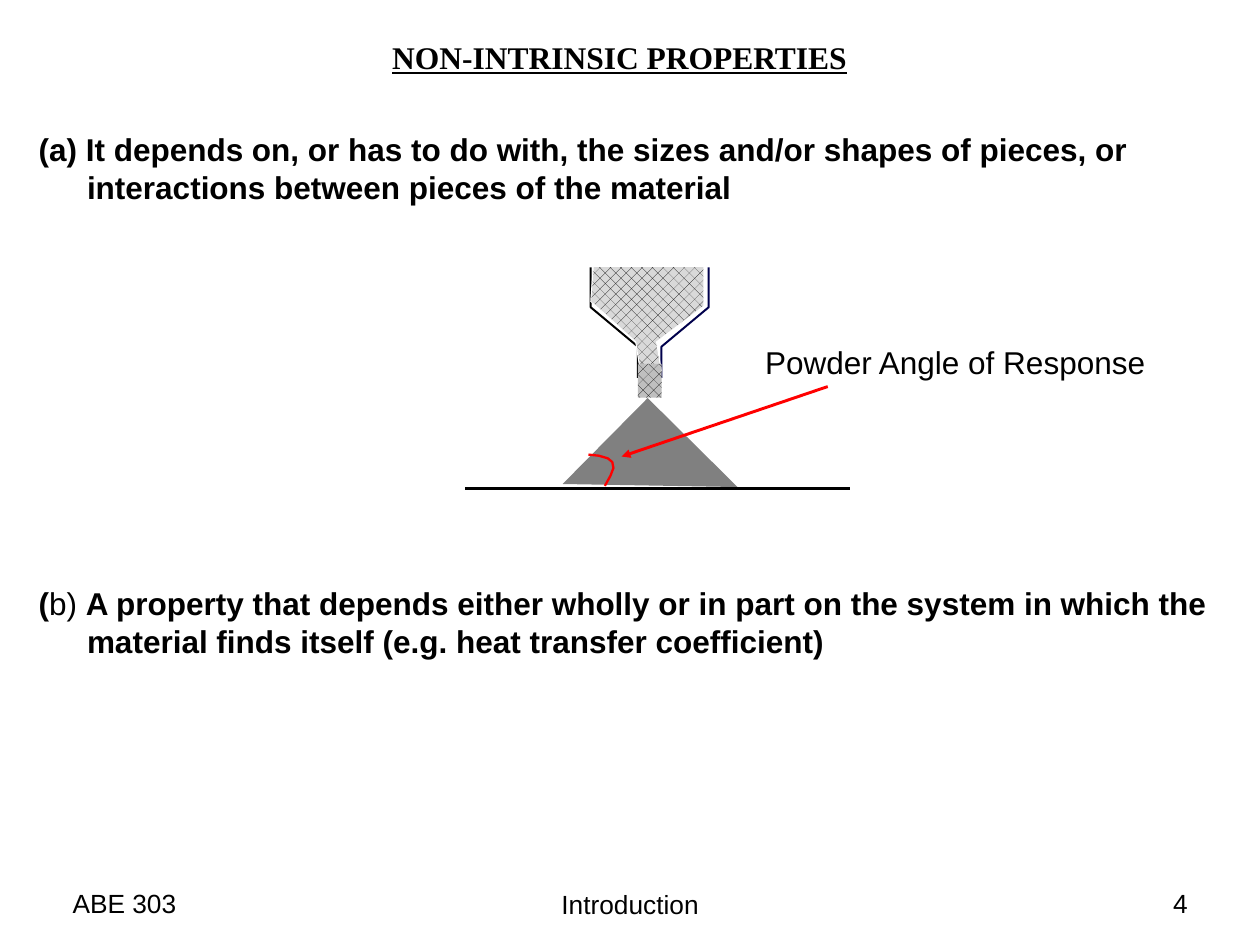
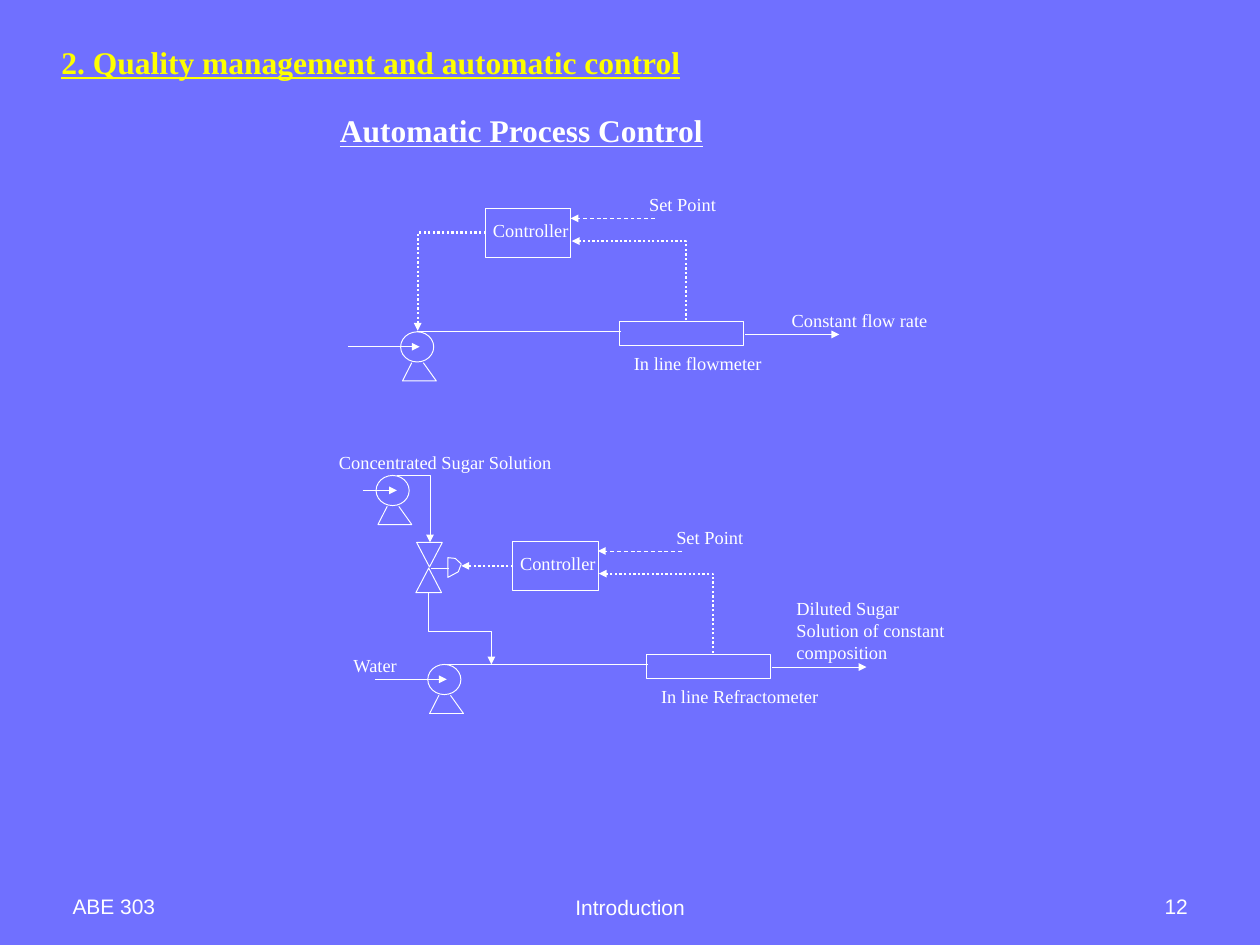
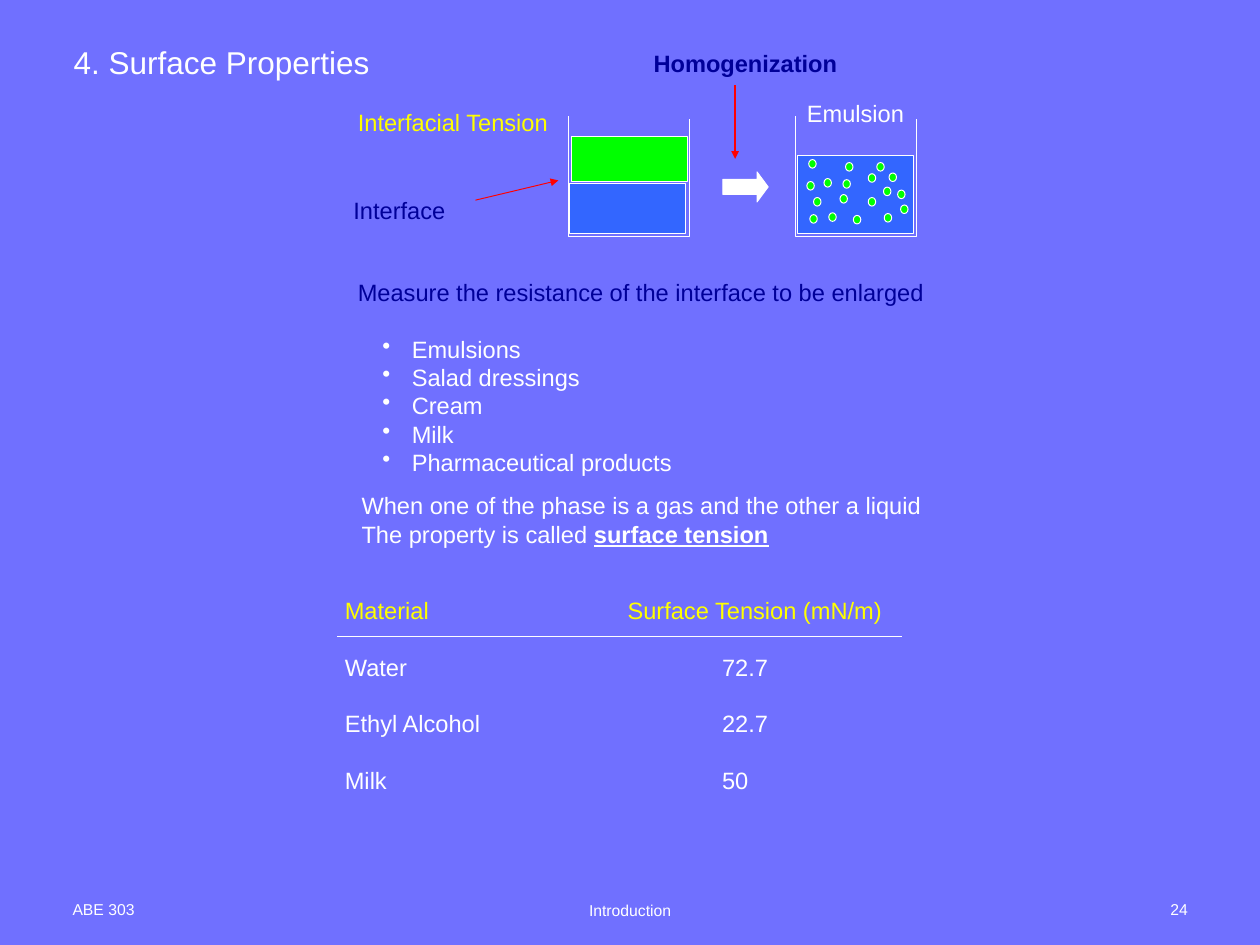
"""Build three lecture slides on food properties and process control."""
from lxml import etree
from pptx import Presentation
from pptx.dml.color import RGBColor
from pptx.enum.dml import MSO_LINE, MSO_PATTERN
from pptx.enum.shapes import MSO_CONNECTOR, MSO_SHAPE
from pptx.enum.text import MSO_ANCHOR, MSO_AUTO_SIZE, PP_ALIGN
from pptx.oxml.ns import qn
from pptx.util import Cm, Pt

LEFT, CENTER, RIGHT = PP_ALIGN.LEFT, PP_ALIGN.CENTER, PP_ALIGN.RIGHT
TOP, BOTTOM = MSO_ANCHOR.TOP, MSO_ANCHOR.BOTTOM
GROW, FIXED = MSO_AUTO_SIZE.SHAPE_TO_FIT_TEXT, MSO_AUTO_SIZE.NONE
DASH, DOT = MSO_LINE.DASH, MSO_LINE.ROUND_DOT
SPECKLED = MSO_PATTERN.PERCENT_25
STRAIGHT = MSO_CONNECTOR.STRAIGHT
RECTANGLE, OVAL = MSO_SHAPE.RECTANGLE, MSO_SHAPE.OVAL
TRIANGLE, RIGHT_TRIANGLE = MSO_SHAPE.ISOSCELES_TRIANGLE, MSO_SHAPE.RIGHT_TRIANGLE
BLOCK_ARROW = MSO_SHAPE.RIGHT_ARROW

BLACK, WHITE, LAVENDER = "000000", "FFFFFF", "7070FF"
YELLOW, RED, NAVY = "FFFF00", "FF0000", "000099"
GREEN, BLUE, GRAY = "00FF00", "3366FF", "808080"
SANS, SERIF = "Arial", "Times New Roman"
NO_GRID = "{2D5ABB26-0587-4C30-8999-92F81FD0307C}"
color_of = RGBColor.from_string


def add_text(page, area, text, size=18, color=WHITE, font=SANS, bold=False,
             underline=False, align=LEFT, anchor=TOP, wrap=False, grow=True):
    """Add a box; newlines split paragraphs and bars switch bold on or off."""
    box = page.shapes.add_textbox(*[Cm(length) for length in area])
    frame = box.text_frame
    frame.word_wrap = wrap
    frame.auto_size = GROW if grow else FIXED
    frame.vertical_anchor = anchor
    lines = text.split("\n")
    for number, line in enumerate(lines):
        para = frame.add_paragraph() if number else frame.paragraphs[0]
        para.alignment = align
        if len(lines) > 1:
            para.line_spacing = Pt(size * 1.2)
        for index, part in enumerate(line.split("|")):
            span = para.add_run()
            span.text = part
            span.font.name = font
            span.font.size = Pt(size)
            span.font.bold = bold != (index % 2 == 1)
            span.font.underline = underline
            span.font.color.rgb = color_of(color)
    return frame


def draw(page, points, preset=None, shift=(0, 0), closed=False, fill=None,
         back=None, line=WHITE, width=0.75, dash=None, arrow=False):
    """Draw a preset shape, a straight line or an outline, in centimetres."""
    if preset:
        left, top, wide, high = points
        shape = page.shapes.add_shape(
            preset, Cm(left + shift[0]), Cm(top + shift[1]), Cm(wide), Cm(high))
    else:
        spots = [(Cm(x + shift[0]), Cm(y + shift[1])) for x, y in points]
        if len(spots) == 2:
            shape = page.shapes.add_connector(STRAIGHT, *spots[0], *spots[1])
        else:
            builder = page.shapes.build_freeform(*spots[0])
            builder.add_line_segments(spots[1:], close=closed)
            shape = builder.convert_to_shape()
    if line:
        shape.line.color.rgb = color_of(line)
        shape.line.width = Pt(width)
        if dash:
            shape.line.dash_style = dash
        if arrow:
            etree.SubElement(shape.line._get_or_add_ln(), qn("a:tailEnd"), type="triangle")
    else:
        shape.line.fill.background()
    if not preset and len(points) == 2:
        etree.SubElement(shape._element.spPr, qn("a:effectLst"))
        return shape
    shape.shadow.inherit = False
    if back:
        shape.fill.patterned()
        shape.fill.pattern = SPECKLED
        shape.fill.fore_color.rgb = color_of(fill)
        shape.fill.back_color.rgb = color_of(back)
    elif fill:
        shape.fill.solid()
        shape.fill.fore_color.rgb = color_of(fill)
    else:
        shape.fill.background()
    return shape


deck = Presentation()
deck.slide_width, deck.slide_height = Cm(33.87), Cm(25.4)
pages = []
for number, size, color, background in [
        ("4", 20, BLACK, WHITE), ("12", 16, WHITE, LAVENDER), ("24", 12, WHITE, LAVENDER)]:
    page = deck.slides.add_slide(deck.slide_layouts[6])
    page.background.fill.solid()
    page.background.fill.fore_color.rgb = color_of(background)
    for left, top, wide, text, align in [
            (1.7, 23.11, 7.9, "ABE 303", LEFT),
            (11.58, 23.14, 10.72, "Introduction", CENTER),
            (24.28, 23.11, 7.9, number, RIGHT)]:
        add_text(page, (left, top, wide, 1.7), text, size=size, color=color,
                 align=align, anchor=BOTTOM, wrap=True, grow=False)
    pages.append(page)
properties, control, surface = pages

add_text(properties, (10.29, 0.89, 12.88, 1.27), "NON-INTRINSIC PROPERTIES", size=24,
         color=BLACK, font=SERIF, bold=True, underline=True)
definitions = add_text(
    properties, (0.79, 3.38, 32.41, 14.63),
    "(a) It depends on, or has to do with, the sizes and/or shapes of pieces, "
    "or interactions between pieces of the material\n"
    "(|b) |A property that depends either wholly or in part on the system in which "
    "the material finds itself (e.g. heat transfer coefficient)",
    size=24, color=BLACK, bold=True, wrap=True)
for para in definitions.paragraphs:
    settings = para._p.get_or_add_pPr()
    settings.set("marL", str(Cm(1.3)))
    settings.set("indent", str(Cm(-1.3)))
definitions.paragraphs[1].space_before = Pt(288)

heap = draw(properties, (15.85, 11.35, 3.25, 3.4), RIGHT_TRIANGLE, fill=GRAY, line=None)
heap.rotation = 134.7
funnel_wall = [(15.88, 7.19), (15.88, 8.26), (17.15, 9.32), (17.15, 10.16)]
draw(properties, funnel_wall, line=BLACK, width=1.5)
draw(properties, [(34.93 - x, y) for x, y in funnel_wall], line="00004C", width=1.5)
angle_arc = [(15.82, 12.22), (16.1, 12.25), (16.34, 12.32), (16.46, 12.42),
             (16.49, 12.58), (16.41, 12.79), (16.26, 13.06)]
draw(properties, angle_arc, line=RED, width=1.75)
powder = [(15.95, 7.16), (18.92, 7.16), (18.92, 8.23), (17.65, 9.19),
          (17.78, 9.98), (17.22, 10.03), (17.09, 9.19), (15.88, 8.1)]
draw(properties, powder, closed=True, fill=BLACK, back="D9D9D9")
draw(properties, (17.15, 9.78, 0.64, 0.91), RECTANGLE, fill=BLACK, back="BFBFBF", line=None)
draw(properties, [(12.5, 13.13), (22.86, 13.13)], line=BLACK, width=2.5)
draw(properties, [(22.25, 10.39), (16.71, 12.27)], line=RED, width=2.25, arrow=True)
add_text(properties, (20.32, 9.09, 11.56, 1.27), "Powder Angle of Response",
         size=24, color=BLACK, wrap=True)

for left, top, wide, text, color in [
        (1.4, 1.04, 17.3, "2. Quality management and automatic control", YELLOW),
        (8.89, 2.87, 10.36, "Automatic Process Control", WHITE)]:
    add_text(control, (left, top, wide, 1.3), text, size=24, color=color,
             font=SERIF, bold=True, underline=True)

flow_loop, sugar_loop, sugar_pump = (0, 0), (0.73, 8.94), (-0.66, 3.86)
for shift in (flow_loop, sugar_loop, sugar_pump):
    draw(control, (10.77, 8.92, 0.89, 0.81), OVAL, shift)
    draw(control, [(11.07, 9.75), (10.82, 10.24), (11.73, 10.24), (11.38, 9.75)], shift=shift)

labels = [
    (21.03, 8.18, 4.19, "Constant flow rate"),
    (21.16, 15.93, 4.52, "Diluted Sugar\nSolution of constant\ncomposition"),
    (9.25, 17.45, 1.7, "Water"),
    (8.86, 11.99, 6.27, "Concentrated Sugar Solution")]
for shift, meter, meter_width in [
        (flow_loop, "In line flowmeter", 3.96), (sugar_loop, "In line Refractometer", 4.78)]:
    draw(control, (16.66, 8.64, 3.33, 0.66), RECTANGLE, shift)
    draw(control, (13.06, 5.61, 2.29, 1.32), RECTANGLE, shift)
    draw(control, [(9.35, 9.32), (11.28, 9.32)], shift=shift, arrow=True)
    draw(control, [(11.2, 8.92), (16.69, 8.92)], shift=shift)
    draw(control, [(20.02, 8.99), (22.56, 8.99)], shift=shift, arrow=True)
    draw(control, [(17.6, 5.87), (15.34, 5.87)], shift=shift, dash=DASH, arrow=True)
    draw(control, [(18.44, 8.61), (18.44, 6.48), (15.37, 6.48)], shift=shift,
         width=1.75, dash=DOT, arrow=True)
    for left, top, wide, text in [
            (16.79, 9.35, meter_width, meter),
            (13, 5.77, 2.57, "Controller"),
            (17.2, 5.08, 2.31, "Set Point")]:
        labels.append((left + shift[0], top + shift[1], wide, text))
for left, top, wide, text in labels:
    add_text(control, (left, top, wide, 0.86), text, size=14, font=SERIF)

for signal in [
        [(13.06, 6.25), (11.23, 6.25), (11.23, 8.89)],
        [(13.79, 15.21), (12.4, 15.21)]]:
    draw(control, signal, width=1.75, dash=DOT, arrow=True)
for pipe in [
        [(9.75, 13.18), (10.67, 13.18)],
        [(10.67, 12.78), (11.56, 12.78), (11.56, 14.58)],
        [(11.53, 15.93), (11.53, 16.97), (13.21, 16.97), (13.21, 17.86)]]:
    draw(control, pipe, arrow=True)
draw(control, (11.18, 15.27, 0.69, 0.66), TRIANGLE)
upper_valve = draw(control, (11.2, 14.58, 0.69, 0.66), TRIANGLE)
upper_valve.rotation = 180
draw(control, [(11.58, 15.27), (12.07, 15.27)])
draw(control, [(12.04, 14.99), (12.04, 15.52), (12.32, 15.37), (12.4, 15.16),
               (12.24, 15.01)], closed=True)

add_text(surface, (1.73, 1.02, 8.53, 1.27), "4. Surface Properties", size=24)
notes = add_text(
    surface, (9.37, 2.77, 15.88, 10.26),
    "Interfacial Tension\nMeasure the resistance of the interface to be enlarged\n"
    "Emulsions\nSalad dressings\nCream\nMilk\nPharmaceutical products")
heading, measure, *products = notes.paragraphs
heading.runs[0].font.color.rgb = color_of(YELLOW)
measure.runs[0].font.color.rgb = color_of(NAVY)
measure.space_before = Pt(108)
products[0].space_before = Pt(21.6)
for para in products:
    settings = para._p.get_or_add_pPr()
    settings.set("marL", str(Cm(1.45)))
    settings.set("indent", str(Cm(-0.79)))
    etree.SubElement(settings, qn("a:buChar"), char="•")
gas_note = add_text(
    surface, (9.47, 13.08, 15.7, 1.8),
    "When one of the phase is a gas and the other a liquid\n"
    "The property is called |surface tension")
gas_note.paragraphs[1].runs[1].font.underline = True

for shift in [(0, 0), (6.12, 0)]:
    draw(surface, [(15.27, 3.12), (15.27, 6.35), (18.53, 6.35), (18.53, 3.2)], shift=shift)
for area, fill in [
        ((15.32, 4.93, 3.12, 1.35), BLUE),
        ((15.37, 3.68, 3.1, 1.19), GREEN),
        ((21.44, 4.17, 3.12, 2.11), BLUE)]:
    draw(surface, area, RECTANGLE, fill=fill)
block_arrow = draw(surface, (19.43, 4.62, 1.22, 0.81), BLOCK_ARROW, fill=WHITE)
block_arrow.adjustments[1] = 0.37
for left, top in [
        (21.87, 5.31), (22.28, 5.72), (23.34, 4.67), (23.75, 5.03), (24.13, 5.11),
        (23.9, 4.65), (23.34, 5.31), (24.21, 5.51), (22.66, 4.83), (23.77, 5.74),
        (21.77, 5.77), (22.94, 5.79), (21.69, 4.88), (22.15, 4.8), (21.74, 4.29),
        (22.58, 5.23), (23.57, 4.37), (22.73, 4.37)]:
    draw(surface, (left, top, 0.2, 0.23), OVAL, fill=GREEN)
draw(surface, [(12.78, 5.38), (15.01, 4.85)], line=RED, arrow=True)
draw(surface, [(19.76, 2.29), (19.76, 4.27)], line=RED, width=1.5, arrow=True)
for left, top, wide, text, color, bold in [
        (9.25, 5.13, 3, "Interface", NAVY, False),
        (21.44, 2.54, 3.15, "Emulsion", WHITE, False),
        (17.32, 1.19, 5.49, "Homogenization", NAVY, True)]:
    add_text(surface, (left, top, wide, 1.02), text, color=color, bold=bold)

rows = [("Material", "Surface Tension (mN/m)"), ("Water", "72.7"),
        ("Ethyl Alcohol", "22.7"), ("Milk", "50")]
table = surface.shapes.add_table(len(rows), 2, Cm(9.02), Cm(15.95), Cm(15.1), Cm(6.08)).table
table._tbl.tblPr.find(qn("a:tableStyleId")).text = NO_GRID
table.first_row = table.horz_banding = False
table.columns[0].width, table.columns[1].width = Cm(7.6), Cm(7.5)
for row_number, row in enumerate(rows):
    for column_number, text in enumerate(row):
        cell = table.cell(row_number, column_number)
        cell.fill.background()
        cell.margin_left = Cm(2.79 if row_number and column_number else 0.25)
        cell.text = text
        font = cell.text_frame.paragraphs[0].runs[0].font
        font.name, font.size = SANS, Pt(18)
        font.color.rgb = color_of(WHITE if row_number else YELLOW)
draw(surface, [(9.07, 17.12), (24.26, 17.12)])

deck.save("out.pptx")
